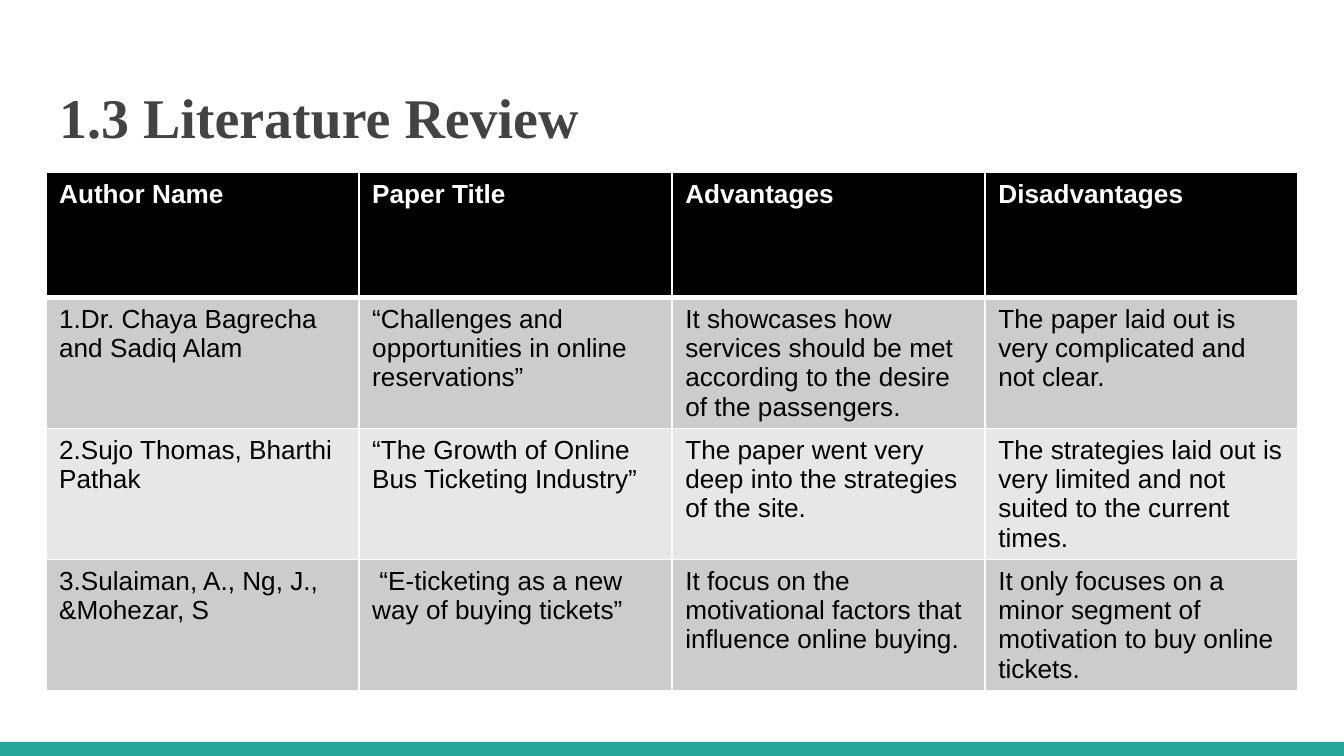
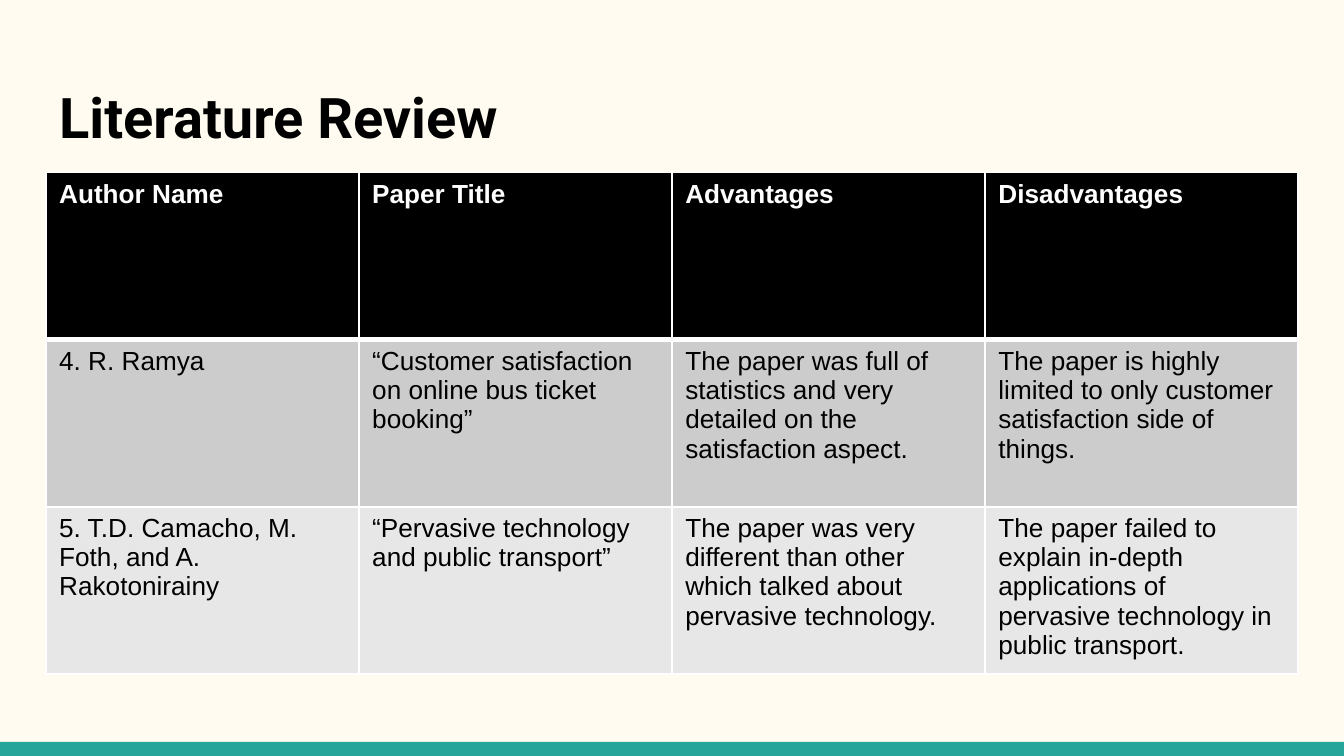
from lxml.etree import SubElement
from pptx import Presentation
from pptx.dml.color import RGBColor
from pptx.enum.shapes import MSO_SHAPE
from pptx.enum.text import MSO_ANCHOR, MSO_AUTO_SIZE, PP_ALIGN
from pptx.oxml.ns import qn
from pptx.util import Pt

COLORS = {
    "white": "FFFFFF", "cream": "FFFBF0", "teal": "26A69A", "gray": "434343",
    "black": "000000", "dark": "CCCCCC", "light": "E7E7E7",
}
WIDTH, HEIGHT = 720, 405
LEFT, SPAN = 24.5, 671
HEADS = ["Author Name", "Paper Title", "Advantages", "Disadvantages"]

SLIDES = [
    {
        "title": "1.3 Literature Review", "font": "Times New Roman",
        "color": "gray", "back": "white", "height": 67,
        "rows": [
            ["1.Dr. Chaya Bagrecha and Sadiq Alam",
             "“Challenges and opportunities in online reservations”",
             "It showcases how services should be met according to the desire of the passengers.",
             "The paper laid out is very complicated and not clear."],
            ["2.Sujo Thomas, Bharthi Pathak",
             "“The Growth of Online Bus Ticketing Industry”",
             "The paper went very deep into the strategies of the site.",
             "The strategies laid out is very limited and not suited to the current times."],
            ["3.Sulaiman, A., Ng, J., &Mohezar, S",
             " “E-ticketing as a new way of buying tickets”",
             "It focus on the motivational factors that influence online buying.",
             "It only focuses on a minor segment of motivation to buy online tickets."],
        ],
    },
    {
        "title": "Literature Review", "font": "Roboto",
        "color": "black", "back": "cream", "height": 89.5,
        "rows": [
            ["4. R. Ramya",
             "“Customer satisfaction on online bus ticket booking”",
             "The paper was full of statistics and very detailed on the satisfaction aspect.",
             "The paper is highly limited to only customer satisfaction side of things."],
            ["5. T.D. Camacho, M. Foth, and A. Rakotonirainy",
             "“Pervasive technology and public transport”",
             "The paper was very different than other which talked about pervasive technology.",
             "The paper failed to explain in-depth applications of pervasive technology in public transport."],
        ],
    },
]


def write(frame, text, font, size, color, bold):
    run = frame.paragraphs[0].add_run()
    run.text = text
    run.font.name = font
    run.font.size = Pt(size)
    run.font.bold = bold
    run.font.color.rgb = RGBColor.from_string(COLORS[color])


def paint(cell, color, top, bottom):
    """Fill a cell and rule it in white; top and bottom are line widths."""
    props = cell._tc.get_or_add_tcPr()
    for side, width in (("L", 1), ("R", 1), ("T", top), ("B", bottom)):
        line = SubElement(props, qn(f"a:ln{side}"), w=str(Pt(width)))
        fill = SubElement(line, qn("a:solidFill"))
        SubElement(fill, qn("a:srgbClr"), val=COLORS["white"])
    cell.fill.solid()
    cell.fill.fore_color.rgb = RGBColor.from_string(COLORS[color])


deck = Presentation()
deck.slide_width, deck.slide_height = Pt(WIDTH), Pt(HEIGHT)
layout = deck.slide_layouts[5]

for index, data in enumerate(SLIDES):
    slide = deck.slides.add_slide(layout)
    slide.background.fill.solid()
    slide.background.fill.fore_color.rgb = RGBColor.from_string(COLORS[data["back"]])

    # The footer band moves to the master, so that every slide shows it
    if index == 0:
        band = slide.shapes.add_shape(
            MSO_SHAPE.RECTANGLE, 0, Pt(397.5), Pt(WIDTH), Pt(7.5))
        band.shadow.inherit = False
        band.fill.solid()
        band.fill.fore_color.rgb = RGBColor.from_string(COLORS["teal"])
        band.line.fill.background()
        deck.slide_master.shapes.element.insert(2, band.element)

    title = slide.shapes.title
    title.left, title.top = Pt(LEFT), Pt(35.5)
    title.width, title.height = Pt(SPAN), Pt(48)
    frame = title.text_frame
    frame.auto_size = MSO_AUTO_SIZE.NONE
    frame.word_wrap = True
    frame.vertical_anchor = MSO_ANCHOR.MIDDLE
    frame.margin_left = frame.margin_right = Pt(7.2)
    frame.margin_top = frame.margin_bottom = Pt(7.2)
    frame.paragraphs[0].alignment = PP_ALIGN.LEFT
    frame.paragraphs[0].line_spacing = 1.15
    write(frame, data["title"], data["font"], 30, data["color"], True)

    rows = [HEADS] + data["rows"]
    table = slide.shapes.add_table(
        len(rows), len(HEADS), Pt(LEFT), Pt(92.5),
        Pt(SPAN), Pt(data["height"] * len(rows))).table
    for r, texts in enumerate(rows):
        table.rows[r].height = Pt(data["height"])
        head = r == 0
        shade = "black" if head else "dark" if r % 2 else "light"
        for c, text in enumerate(texts):
            cell = table.cell(r, c)
            paint(cell, shade, 3 if r == 1 else 1, 3 if head else 1)
            write(cell.text_frame, text, "Arial", 14,
                  "white" if head else "black", head)

deck.save("out.pptx")
